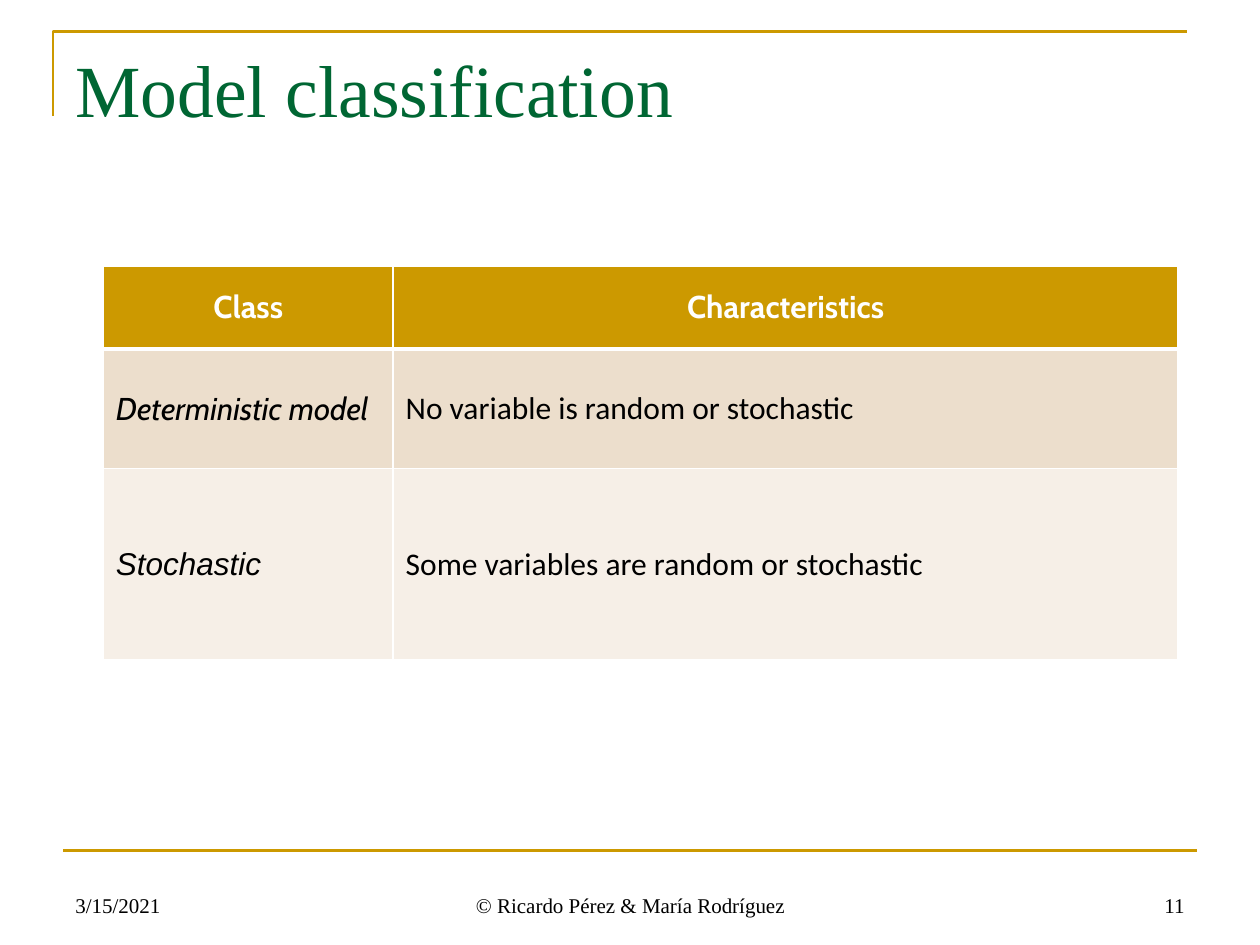
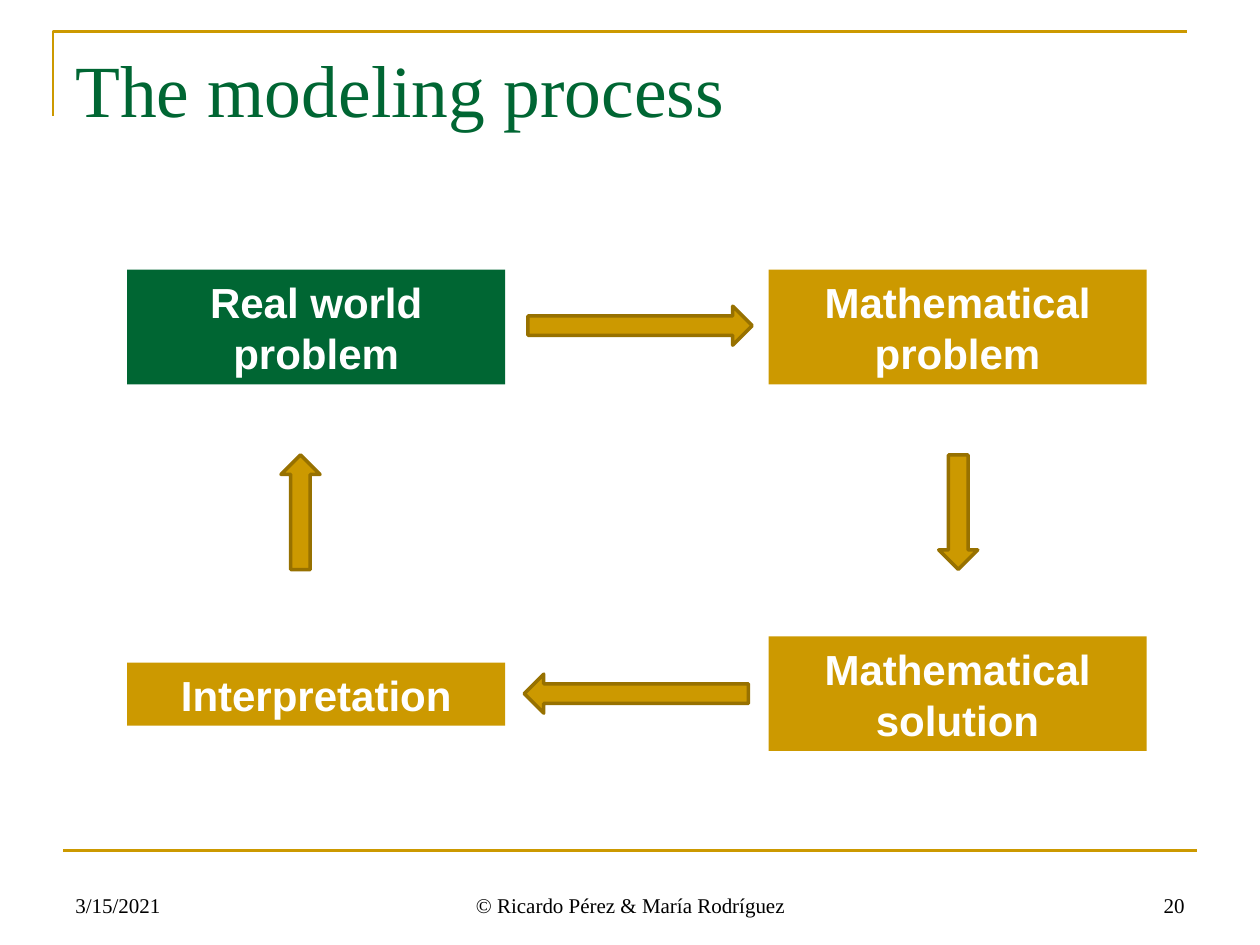
from dataclasses import dataclass
from typing import NamedTuple, Optional

from lxml.etree import SubElement
from pptx import Presentation
from pptx.dml.color import RGBColor
from pptx.enum.shapes import MSO_CONNECTOR, MSO_SHAPE
from pptx.enum.text import MSO_ANCHOR, MSO_AUTO_SIZE, PP_ALIGN
from pptx.oxml.ns import qn
from pptx.util import Pt

EMU_PER_PX = 9144


@dataclass(frozen=True)
class Theme:
    gold: str = "CC9900"
    dark_gold: str = "977100"
    green: str = "006633"
    white: str = "FFFFFF"
    black: str = "000000"
    row_tints: tuple = ("ECDECC", "F6EFE7")
    serif: str = "Times New Roman"
    sans: str = "Arial"
    heading: str = "Cabin"
    body: str = "Calibri"
    title_size: int = 42
    box_size: int = 24
    table_size: int = 18
    footer_size: int = 12
    rule_width: float = 1.5


THEME = Theme()


class Area(NamedTuple):
    left: int
    top: int
    width: int
    height: int


class Step(NamedTuple):
    text: str
    area: Area
    color: str = THEME.gold


class Arrow(NamedTuple):
    area: Area
    rotation: int


class CellText(NamedTuple):
    text: str
    font: str
    italic: bool = False


class FooterField(NamedTuple):
    text: str
    area: Area
    align: PP_ALIGN


HEADERS = ("Class", "Characteristics")
MODEL_ROWS = (
    (CellText("Deterministic model", THEME.heading, True),
     CellText("No variable is random or stochastic", THEME.body)),
    (CellText("Stochastic", THEME.sans, True),
     CellText("Some variables are random or stochastic", THEME.body)),
)
COLUMN_WIDTHS = (230, 623)
ROW_HEIGHTS = (66, 95, 152)

LEFT_COLUMN, RIGHT_COLUMN, STEP_WIDTH = 101, 610, 300
STEPS = (
    Step("Real world problem", Area(LEFT_COLUMN, 214, STEP_WIDTH, 91), THEME.green),
    Step("Mathematical\nproblem", Area(RIGHT_COLUMN, 214, STEP_WIDTH, 91)),
    Step("Interpretation", Area(LEFT_COLUMN, 526, STEP_WIDTH, 50)),
    Step("Mathematical\nsolution", Area(RIGHT_COLUMN, 505, STEP_WIDTH, 91)),
)
ARROWS = (
    Arrow(Area(419, 243, 178, 31), 0),
    Arrow(Area(715, 391, 91, 31), 90),
    Arrow(Area(416, 535, 178, 31), 180),
    Arrow(Area(193, 391, 91, 31), 270),
)


def px(length: int) -> int:
    return length * EMU_PER_PX


def place(area: Area) -> tuple:
    return tuple(px(length) for length in area)


def rgb(color: str) -> RGBColor:
    return RGBColor.from_string(color)


def paint(fill, color: str) -> None:
    fill.solid()
    fill.fore_color.rgb = rgb(color)


def stroke(line, color: str, width: float) -> None:
    line.width = Pt(width)
    paint(line.fill, color)


def write(frame, text: str, *, font: str, size: int, color: str,
          bold: bool = False, italic: bool = False,
          align: PP_ALIGN = PP_ALIGN.LEFT,
          anchor: Optional[MSO_ANCHOR] = None,
          line_height: Optional[int] = None) -> None:
    frame.word_wrap = True
    if anchor is not None:
        frame.vertical_anchor = anchor
    frame.text = text
    for para in frame.paragraphs:
        para.alignment = align
        if line_height:
            para.line_spacing = Pt(line_height)
        for span in para.runs:
            span.font.name = font
            span.font.size = Pt(size)
            span.font.bold = bold
            span.font.italic = italic
            span.font.color.rgb = rgb(color)


def add_frame(page) -> None:
    builder = page.shapes.build_freeform(px(42), px(92))
    builder.add_line_segments([(px(42), px(25)), (px(942), px(25))], close=False)
    corner = builder.convert_to_shape()
    corner.shadow.inherit = False
    corner.fill.background()
    stroke(corner.line, THEME.gold, THEME.rule_width)

    rule = page.shapes.add_connector(
        MSO_CONNECTOR.STRAIGHT, px(50), px(675), px(950), px(675))
    stroke(rule.line, THEME.gold, THEME.rule_width)
    SubElement(rule._element.spPr, qn("a:effectLst"))


def add_footer(page, number: int) -> None:
    fields = (
        FooterField("3/15/2021", Area(50, 683, 233, 50), PP_ALIGN.LEFT),
        FooterField("© Ricardo Pérez & María Rodríguez",
                    Area(342, 683, 317, 50), PP_ALIGN.CENTER),
        FooterField(str(number), Area(717, 683, 233, 50), PP_ALIGN.RIGHT),
    )
    for field in fields:
        box = page.shapes.add_textbox(*place(field.area))
        write(box.text_frame, field.text, font=THEME.serif, size=THEME.footer_size,
              color=THEME.black, align=field.align, anchor=MSO_ANCHOR.BOTTOM)


def add_page(deck, title: str, number: int, title_height: int):
    page = deck.slides.add_slide(deck.slide_layouts[6])
    add_frame(page)
    box = page.shapes.add_textbox(*place(Area(50, 30, 900, title_height)))
    write(box.text_frame, title, font=THEME.serif, size=THEME.title_size,
          color=THEME.green, anchor=MSO_ANCHOR.TOP)
    add_footer(page, number)
    return page


def border_cell(cell, top: int, bottom: int) -> None:
    properties = cell._tc.get_or_add_tcPr()
    for side, width in (("L", 1), ("R", 1), ("T", top), ("B", bottom)):
        line = SubElement(properties, qn(f"a:ln{side}"), w=str(Pt(width)))
        fill = SubElement(line, qn("a:solidFill"))
        SubElement(fill, qn("a:srgbClr"), val=THEME.white)


def add_model_table(page) -> None:
    area = Area(82, 211, sum(COLUMN_WIDTHS), sum(ROW_HEIGHTS))
    table = page.shapes.add_table(
        len(ROW_HEIGHTS), len(COLUMN_WIDTHS), *place(area)).table
    table.horz_banding = False
    for column, width in zip(table.columns, COLUMN_WIDTHS):
        column.width = px(width)
    for row, height in zip(table.rows, ROW_HEIGHTS):
        row.height = px(height)

    for index, text in enumerate(HEADERS):
        cell = table.cell(0, index)
        border_cell(cell, top=1, bottom=3)
        paint(cell.fill, THEME.gold)
        cell.vertical_anchor = MSO_ANCHOR.MIDDLE
        write(cell.text_frame, text, font=THEME.heading, size=THEME.table_size,
              color=THEME.white, bold=True, align=PP_ALIGN.CENTER)

    for row_index, (entries, tint) in enumerate(zip(MODEL_ROWS, THEME.row_tints), 1):
        for column_index, entry in enumerate(entries):
            cell = table.cell(row_index, column_index)
            border_cell(cell, top=3 if row_index == 1 else 1, bottom=1)
            paint(cell.fill, tint)
            cell.vertical_anchor = MSO_ANCHOR.MIDDLE
            write(cell.text_frame, entry.text, font=entry.font,
                  size=THEME.table_size, color=THEME.black, italic=entry.italic)


def add_step(page, step: Step) -> None:
    box = page.shapes.add_shape(MSO_SHAPE.RECTANGLE, *place(step.area))
    box.shadow.inherit = False
    paint(box.fill, step.color)
    box.line.fill.background()
    write(box.text_frame, step.text, font=THEME.sans, size=THEME.box_size,
          color=THEME.white, bold=True, align=PP_ALIGN.CENTER,
          anchor=MSO_ANCHOR.MIDDLE, line_height=29)
    box.text_frame.auto_size = MSO_AUTO_SIZE.SHAPE_TO_FIT_TEXT


def add_arrow(page, arrow: Arrow) -> None:
    shape = page.shapes.add_shape(MSO_SHAPE.RIGHT_ARROW, *place(arrow.area))
    shape.shadow.inherit = False
    shape.rotation = arrow.rotation
    paint(shape.fill, THEME.gold)
    stroke(shape.line, THEME.dark_gold, 2)
    SubElement(shape.line._get_or_add_ln(), qn("a:round"))


def main() -> None:
    deck = Presentation()
    deck.slide_width, deck.slide_height = px(1000), px(750)

    classification = add_page(deck, "Model classification", 11, 75)
    add_model_table(classification)

    process = add_page(deck, "The modeling process", 20, 125)
    for step in STEPS:
        add_step(process, step)
    for arrow in ARROWS:
        add_arrow(process, arrow)

    deck.save("out.pptx")


if __name__ == "__main__":
    main()
